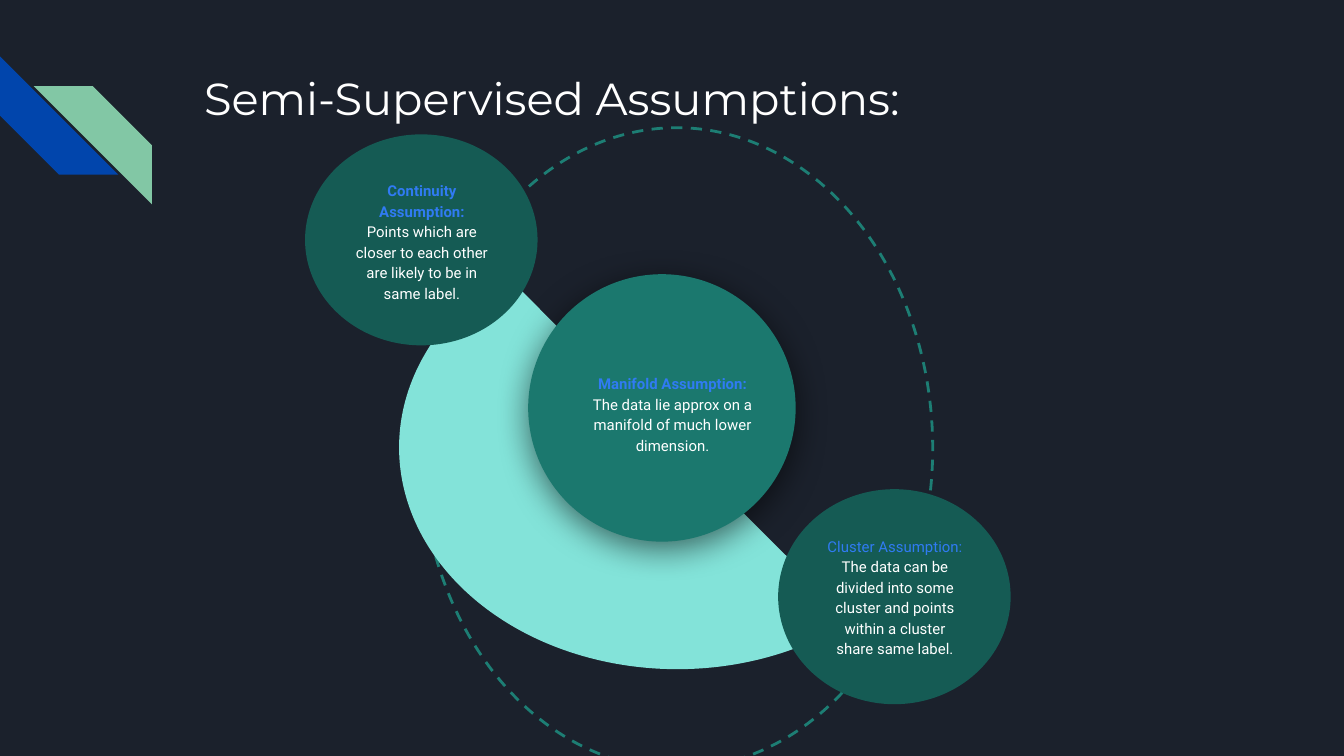
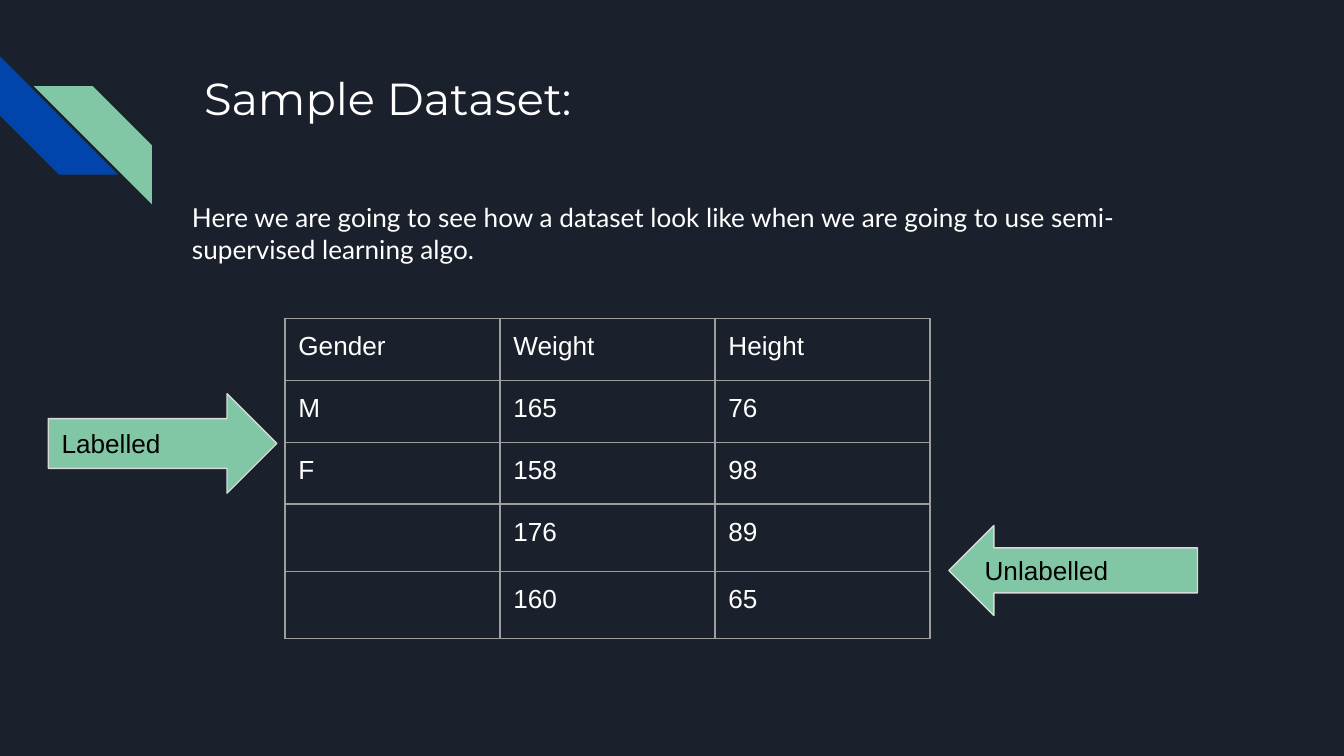
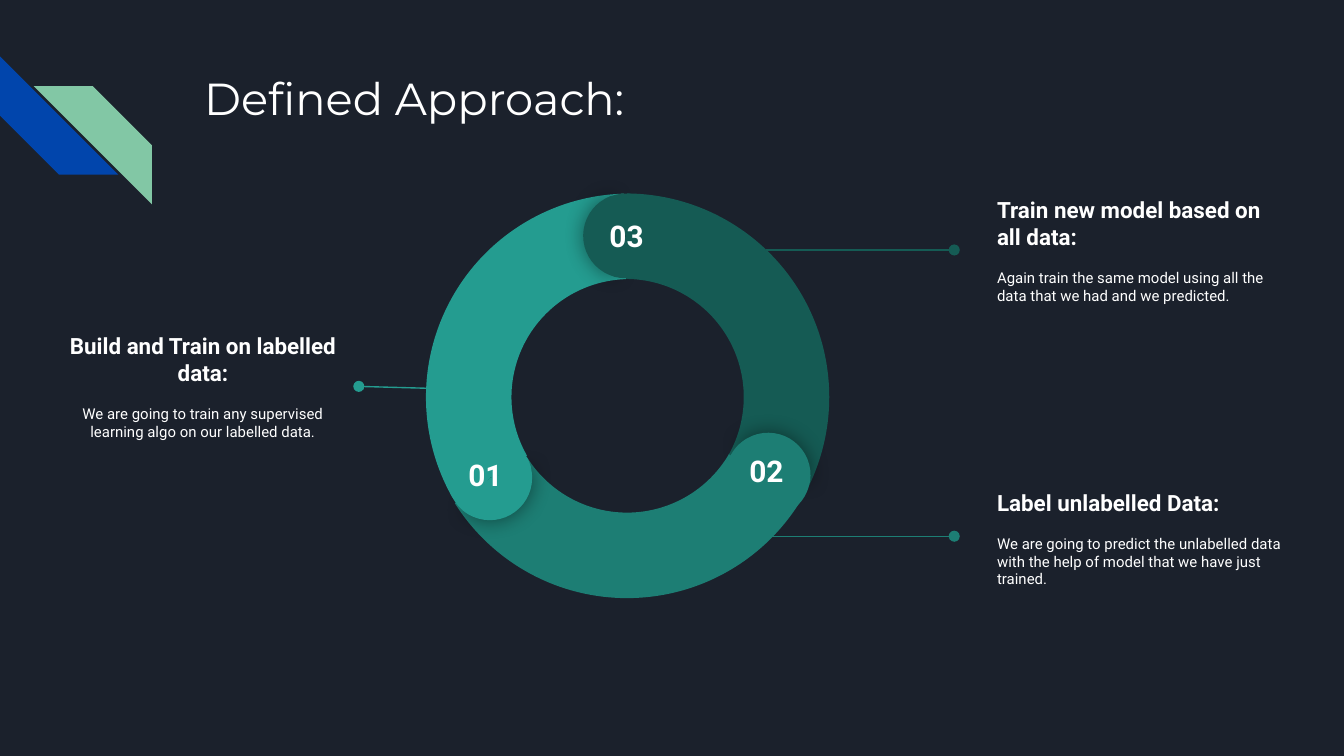
"""Build three slides on semi-supervised learning."""
from dataclasses import dataclass

from lxml.etree import SubElement
from pptx import Presentation
from pptx.dml.color import RGBColor
from pptx.enum.dml import MSO_LINE
from pptx.enum.shapes import MSO_CONNECTOR, MSO_SHAPE
from pptx.enum.text import MSO_ANCHOR, PP_ALIGN
from pptx.oxml.ns import qn
from pptx.util import Pt

SCALE = 9144
LEFT, MID = PP_ALIGN.LEFT, PP_ALIGN.CENTER


@dataclass(frozen=True)
class Theme:
    night: str = "1B212C"
    white: str = "FFFFFF"
    black: str = "000000"
    blue: str = "0145AC"
    link: str = "307BF3"
    mint: str = "82C7A5"
    aqua: str = "83E3D9"
    light: str = "249C90"
    teal: str = "1D7E74"
    hub: str = "1B786E"
    deep: str = "155B54"
    rim: str = "D9D9D9"
    grid: str = "9E9E9E"
    small: int = 8
    head: int = 12
    body: int = 14
    label: int = 16
    blank: int = 18
    title: int = 24


THEME = Theme()


def rgb(code):
    return RGBColor.from_string(code)


def px(*sizes):
    return [size * SCALE for size in sizes]


def tag(parent, name, **values):
    return SubElement(parent, qn(f"a:{name}"), {k: str(v) for k, v in values.items()})


def write(frame, text, size=THEME.small, font="Roboto", color=THEME.white,
          bold=False, align=LEFT, pitch=None, before=0):
    para = frame.add_paragraph() if frame.text else frame.paragraphs[0]
    para.alignment = align
    para.line_spacing = pitch
    para.space_before = Pt(before)
    run = para.add_run()
    run.text = text
    run.font.size = Pt(size)
    run.font.name = font
    run.font.bold = bold
    run.font.color.rgb = rgb(color)


class Deck:
    def __init__(self, theme):
        self.theme = theme
        self.show = Presentation()
        self.show.slide_width = 1000 * SCALE
        self.show.slide_height = self.show.slide_width * 9 // 16
        self.slide = None

    def page(self, title):
        look = self.theme
        self.slide = self.show.slides.add_slide(self.show.slide_layouts[6])
        back = self.slide.background.fill
        back.solid()
        back.fore_color.rgb = rgb(look.night)
        stripe = MSO_SHAPE.DIAGONAL_STRIPE
        self.shape(stripe, (0, 42, 88, 88), look.blue, turn=270)
        self.shape(stripe, (25, 64, 88, 88), look.mint, flip=True)
        write(self.text((142, 43, 770, 67)), title, size=look.title, font="Montserrat")

    def frame(self, shape, anchor):
        frame = shape.text_frame
        frame.word_wrap = True
        frame.vertical_anchor = anchor
        frame.margin_left, frame.margin_right, frame.margin_top, frame.margin_bottom = px(*[10] * 4)
        return frame

    def text(self, box, anchor=MSO_ANCHOR.TOP):
        return self.frame(self.slide.shapes.add_textbox(*px(*box)), anchor)

    def shape(self, kind, box, fill=None, line=None, width=0.75, dash=None,
              turn=0, flip=False, adjust=(), shade=None):
        shape = self.slide.shapes.add_shape(kind, *px(*box))
        shape.shadow.inherit = False
        shape.rotation = turn
        for index, value in enumerate(adjust):
            shape.adjustments[index] = value
        if fill:
            shape.fill.solid()
            shape.fill.fore_color.rgb = rgb(fill)
        else:
            shape.fill.background()
        if line:
            shape.line.color.rgb = rgb(line)
            shape.line.width = Pt(width)
            shape.line.dash_style = dash
        else:
            shape.line.fill.background()
        props = shape._element.spPr
        if flip:
            props.find(qn("a:xfrm")).set("flipH", "1")
        if shade:
            alpha, blur, dist, angle = shade
            glow = tag(props.find(qn("a:effectLst")), "outerShdw", blurRad=Pt(blur),
                       dist=Pt(dist), dir=angle * 60000, algn="bl", rotWithShape=0)
            tag(tag(glow, "srgbClr", val=self.theme.black), "alpha", val=alpha * 1000)
        return shape

    def arrow(self, kind, box, text):
        look = self.theme
        shape = self.shape(kind, box, look.mint, line=look.rim)
        write(self.frame(shape, MSO_ANCHOR.MIDDLE), text, size=look.body,
              font="Arial", color=look.black)

    def lead(self, start, end, color):
        line = self.slide.shapes.add_connector(MSO_CONNECTOR.STRAIGHT, *px(*start, *end))
        line.line.color.rgb = rgb(color)
        line.line.width = Pt(0.75)
        tag(line.line._get_or_add_ln(), "tailEnd", type="oval")
        tag(line._element.spPr, "effectLst")
        return line

    def note(self, box, head, body, align=LEFT):
        frame = self.text(box, MSO_ANCHOR.MIDDLE)
        write(frame, head, size=self.theme.head, bold=True, align=align)
        write(frame, body, align=align, before=10)
        return self.slide.shapes[-1]

    def disc(self, box, area, fill, head, body, bold=True, shade=None):
        self.shape(MSO_SHAPE.OVAL, box, fill, shade=shade)
        frame = self.text(area, MSO_ANCHOR.MIDDLE)
        write(frame, head, color=self.theme.link, bold=bold, align=MID, pitch=1.15)
        write(frame, body, align=MID, pitch=1.15)

    def table(self, spot, rows, wide, high):
        size = (wide * len(rows[0]), high * len(rows))
        table = self.slide.shapes.add_table(len(rows), len(rows[0]), *px(*spot, *size)).table
        table.first_row = table.horz_banding = False
        for cells, words in zip(table.rows, rows):
            for cell, word in zip(cells.cells, words):
                self.cell(cell, word)

    def cell(self, cell, word):
        cell.margin_left, cell.margin_right, cell.margin_top, cell.margin_bottom = px(*[10] * 4)
        props = cell._tc.get_or_add_tcPr()
        for side in "LRTB":
            edge = tag(props, f"ln{side}", w=Pt(0.75))
            tag(tag(edge, "solidFill"), "srgbClr", val=self.theme.grid)
        cell.fill.background()
        if word:
            write(cell.text_frame, word, size=self.theme.body, font="Arial")
        else:
            para = cell.text_frame.paragraphs[0]._p
            mark = tag(para, "endParaRPr", sz=self.theme.blank * 100)
            tag(mark, "latin", typeface="Arial")


def assume(deck):
    look = deck.theme
    deck.page("Semi-Supervised Assumptions:")
    deck.shape(MSO_SHAPE.OVAL, (265, 143, 477, 381), line=look.teal, width=1.5,
               dash=MSO_LINE.DASH, turn=270)
    deck.shape(MSO_SHAPE.PIE, (297, 168, 414, 330), look.aqua, adjust=(26.9, 135.11))
    deck.disc((393, 204, 199, 199), (427, 236, 147, 143), look.hub, "Manifold Assumption:",
              "The data lie approx on a manifold of much lower dimension.",
              shade=(55, 18, 4, 90))
    deck.disc((227, 100, 173, 157), (252, 125, 124, 108), look.deep, "Continuity Assumption:",
              "Points which are closer to each other are likely to be in same label.")
    deck.disc((579, 364, 173, 160), (604, 389, 124, 109), look.deep, "Cluster Assumption:",
              "The data can be divided into some cluster and points within a cluster "
              "share same label.", bold=False)


def sample(deck):
    deck.page("Sample Dataset:")
    rows = [("Gender", "Weight", "Height"), ("M", "165", "76"), ("F", "158", "98"),
            ("", "176", "89"), ("", "160", "65")]
    deck.table((212, 237), rows, 160, 46)
    write(deck.text((133, 140, 758, 67)),
          "Here we are going to see how a dataset look like when we are going to use "
          "semi-supervised learning algo.", size=deck.theme.body, font="Lato")
    deck.arrow(MSO_SHAPE.RIGHT_ARROW, (36, 293, 170, 74), "Labelled")
    deck.arrow(MSO_SHAPE.LEFT_ARROW, (706, 391, 185, 67), "Unlabelled")


def method(deck):
    look = deck.theme
    deck.page("Defined Approach:")
    build = deck.note((35, 217, 232, 141), "Build and Train on labelled data:",
                      "We are going to train any supervised learning algo on our labelled data.",
                      align=MID)
    deck.lead((358, 290), (268, 288), look.light).end_connect(build, 3)
    notes = [(116, 186, look.deep, "Train new model based on all data:",
              "Again train the same model using all the data that we had and we predicted."),
             (330, 399, look.teal, "Label unlabelled Data:",
              "We are going to predict the unlabelled data with the help of model "
              "that we have just trained.")]
    for top, level, color, head, body in notes:
        deck.note((732, top, 232, 141), head, body)
        deck.lead((570, level), (710, level), color)

    steps = [("03 ", look.deep, 0, (314, 144), 197.82, (434, 144), (441, 152)),
             ("02 ", look.teal, 120, (315, 142), 196.63, (540, 322), (545, 327)),
             ("01 ", look.light, 240, (317, 144), 197.03, (333, 324), (336, 330))]
    for _, color, turn, ring, sweep, _, _ in steps:
        deck.shape(MSO_SHAPE.BLOCK_ARC, (*ring, 303, 303), color, turn=turn + 60,
                   adjust=(126.23, sweep, 0.21))
    for name, color, turn, _, _, knob, spot in steps:
        box = (*knob, 63, 63)
        deck.shape(MSO_SHAPE.PIE, box, color, turn=turn + 0.7,
                   adjust=(61.9, 149.96), shade=(43, 11.2, 0, 0))
        deck.shape(MSO_SHAPE.PIE, box, color, turn=(turn + 180) % 360,
                   adjust=(40.28, 171.84))
        write(deck.text((*spot, 56, 29)), name, size=look.label, bold=True, align=MID)


def main():
    deck = Deck(THEME)
    assume(deck)
    sample(deck)
    method(deck)
    deck.show.save("out.pptx")


if __name__ == "__main__":
    main()
